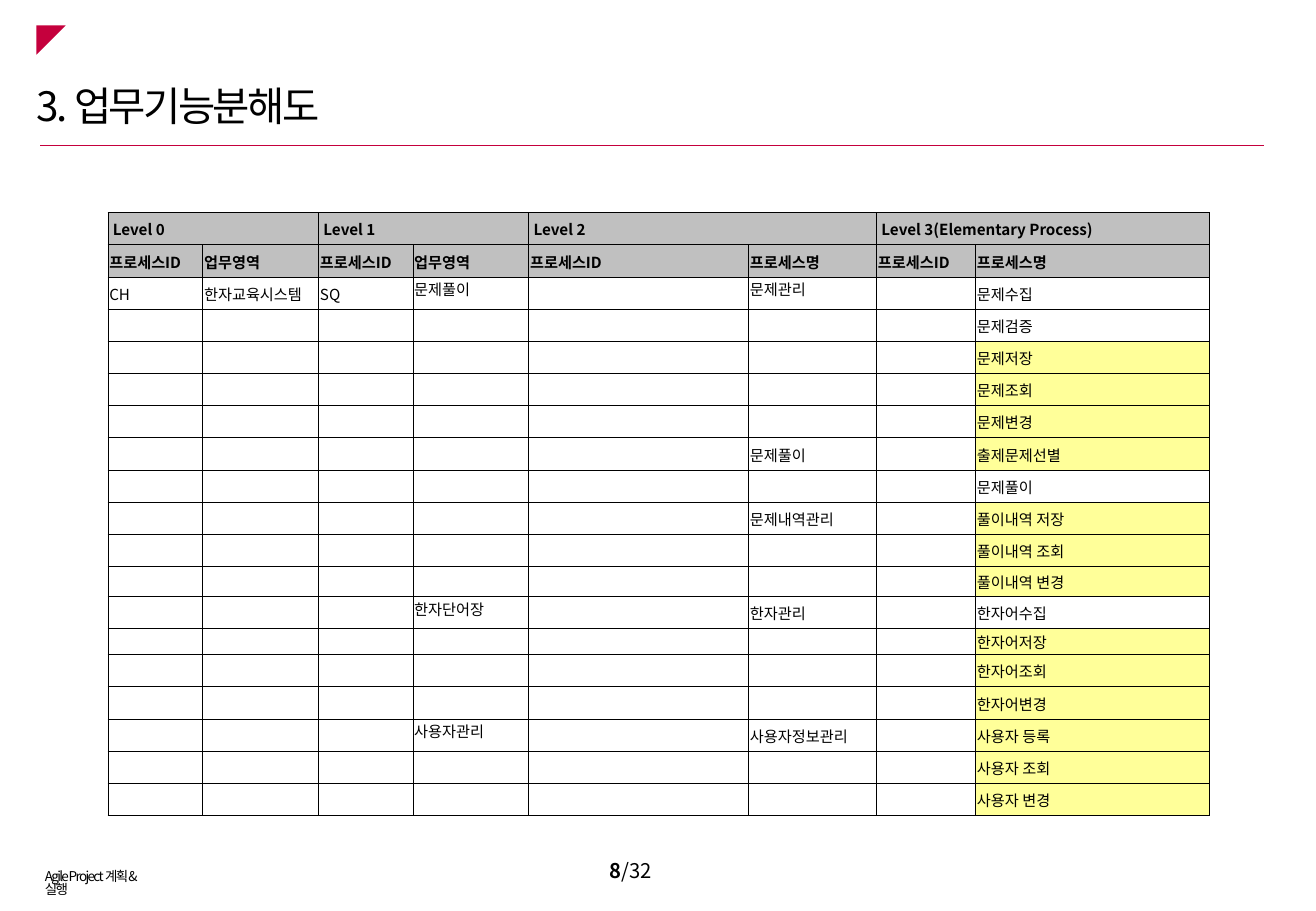
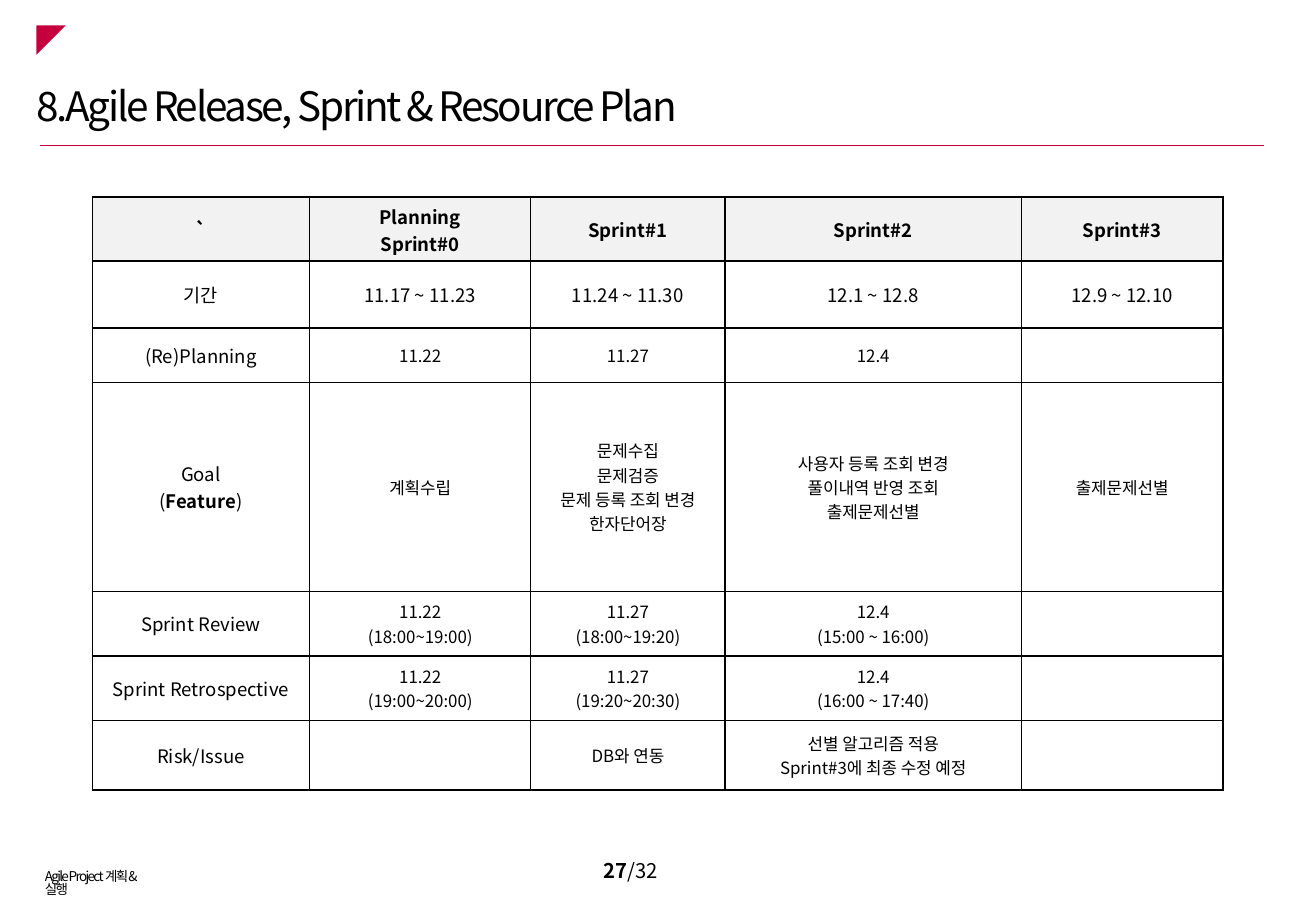
"""Build two agile project slides: a process breakdown table and a sprint plan."""
from lxml.etree import SubElement
from pptx import Presentation
from pptx.dml.color import RGBColor
from pptx.enum.shapes import MSO_CONNECTOR, MSO_SHAPE
from pptx.enum.text import MSO_ANCHOR, MSO_AUTO_SIZE, PP_ALIGN
from pptx.oxml.ns import qn
from pptx.util import Emu, Pt

FONT = "Noto Sans CJK KR"
BLACK, RED, GRAY, PALE, YELLOW = "000000", "C5003D", "C0C0C0", "F2F2F2", "FFFF99"
FOOTER, PAGE_COUNT = "Agile Project 계획&실행", 32

LEVELS = ["Level 0", "Level 1", "Level 2", "Level 3(Elementary Process)"]
FIELDS = ["프로세스ID", "업무영역", "프로세스ID", "업무영역",
          "프로세스ID", "프로세스명", "프로세스ID", "프로세스명"]
SYSTEM = ("CH", "한자교육시스템", "SQ")
PROCESSES = [
    ("문제풀이", "문제관리", "문제수집"),
    ("", "", "문제검증"),
    ("", "", "문제저장"),
    ("", "", "문제조회"),
    ("", "", "문제변경"),
    ("", "문제풀이", "출제문제선별"),
    ("", "", "문제풀이"),
    ("", "문제내역관리", "풀이내역 저장"),
    ("", "", "풀이내역 조회"),
    ("", "", "풀이내역 변경"),
    ("한자단어장", "한자관리", "한자어수집"),
    ("", "", "한자어저장"),
    ("", "", "한자어조회"),
    ("", "", "한자어변경"),
    ("사용자관리", "사용자정보관리", "사용자 등록"),
    ("", "", "사용자 조회"),
    ("", "", "사용자 변경"),
]
PLAIN_PROCESSES = {"문제수집", "문제검증", "문제풀이", "한자어수집"}
PROCESS_COLUMNS = [156, 191, 155, 191, 362, 211, 163, 384]
PROCESS_ROWS = [53] * 11 + [49, 53, 43] + [53] * 5

SPRINTS = [
    ["`", "Planning\nSprint#0", "Sprint#1", "Sprint#2", "Sprint#3"],
    ["기간", "11.17 ~ 11.23", "11.24 ~ 11.30", "12.1 ~ 12.8", "12.9 ~ 12.10"],
    ["(Re)Planning", "11.22", "11.27", "12.4", ""],
    ["Goal\n(|Feature|)", "계획수립", "문제수집\n문제검증\n문제 등록 조회 변경\n한자단어장",
     "사용자 등록 조회 변경\n풀이내역 반영 조회\n출제문제선별", "출제문제선별"],
    ["Sprint Review", "11.22\n(18:00~19:00)", "11.27\n(18:00~19:20)",
     "12.4\n(15:00 ~ 16:00)", ""],
    ["Sprint Retrospective", "11.22\n(19:00~20:00)", "11.27\n(19:20~20:30)",
     "12.4\n(16:00 ~ 17:40)", ""],
    ["Risk/Issue", "", "DB와 연동", "선별 알고리즘 적용\nSprint#3에 최종 수정 예정", ""],
]
SPRINT_COLUMNS = [358, 364, 320, 488, 332]
SPRINT_ROWS = [106, 110, 90, 344, 106, 106, 115]


def px(value):
    return Emu(value * 4572)


def color(value):
    return RGBColor.from_string(value)


def write(frame, text, size, bold=False, align=PP_ALIGN.LEFT, tracking=0, leading=None):
    """Fill a frame, one paragraph per line; parts between bars are bold."""
    for index, line in enumerate(text.split("\n")):
        paragraph = frame.paragraphs[0] if index == 0 else frame.add_paragraph()
        paragraph.alignment = align
        if leading:
            paragraph.line_spacing = leading
        if not line:
            SubElement(paragraph._p, qn("a:endParaRPr")).set("sz", str(size * 100))
            continue
        for part, words in enumerate(line.split("|")):
            if not words:
                continue
            run = paragraph.add_run()
            run.text = words
            run.font.size, run.font.name = Pt(size), FONT
            run.font.bold = bold or part % 2 == 1
            run.font.color.rgb = color(BLACK)
            properties = run.font._element
            SubElement(properties, qn("a:ea")).set("typeface", FONT)
            if tracking:
                properties.set("spc", str(tracking))


def add_text(slide, box, text, size, **style):
    frame = slide.shapes.add_textbox(*map(px, box)).text_frame
    frame.word_wrap = True
    write(frame, text, size, **style)
    return frame


def add_page(presentation, title, title_width, tracking, number):
    """Add a slide with the shared title, corner mark, rule and footer."""
    slide = presentation.slides.add_slide(presentation.slide_layouts[5])
    heading = slide.shapes.title
    heading.left, heading.top, heading.width, heading.height = map(
        px, (40, 132, title_width, 100))
    frame = heading.text_frame
    frame.auto_size, frame.vertical_anchor = MSO_AUTO_SIZE.NONE, MSO_ANCHOR.TOP
    write(frame, title, 24, tracking=tracking, leading=0.9)

    rule = slide.shapes.add_connector(MSO_CONNECTOR.STRAIGHT, *map(px, (66, 240, 2082, 240)))
    rule.line.color.rgb, rule.line.width = color(RED), Pt(0.75)
    SubElement(rule._element.spPr, qn("a:effectLst"))

    corner = slide.shapes.add_shape(MSO_SHAPE.ISOSCELES_TRIANGLE, *map(px, (60, 42, 48, 48)))
    corner.adjustments[0], corner.rotation = 1, 180
    corner.shadow.inherit = False
    corner.fill.solid()
    corner.fill.fore_color.rgb = color(RED)
    corner.line.fill.background()

    add_text(slide, (54, 1424, 224, 48), FOOTER, 8, tracking=-100, leading=0.8)
    page = add_text(slide, (916, 1396, 246, 74), f"|{number}|/{PAGE_COUNT}", 12,
                    align=PP_ALIGN.CENTER)
    page.vertical_anchor = MSO_ANCHOR.MIDDLE
    return slide


def add_grid(slide, left, top, columns, rows):
    """Add an unstyled table with the given column widths and row heights."""
    frame = slide.shapes.add_table(len(rows), len(columns), px(left), px(top),
                                   px(sum(columns)), px(sum(rows)))
    table = frame.table
    table.first_row = table.horz_banding = False
    for column, width in zip(table.columns, columns):
        column.width = px(width)
    for row, height in zip(table.rows, rows):
        row.height = px(height)
    return table


def format_cell(cell, text, size, border, margins, fill=None, anchor=MSO_ANCHOR.MIDDLE, **style):
    cell.margin_left, cell.margin_top, cell.margin_right, cell.margin_bottom = map(px, margins)
    cell.vertical_anchor = anchor
    properties = cell._tc.get_or_add_tcPr()
    for side in ("a:lnL", "a:lnR", "a:lnT", "a:lnB"):
        line = SubElement(properties, qn(side), w=str(Pt(border)))
        SubElement(SubElement(line, qn("a:solidFill")), qn("a:srgbClr")).set("val", BLACK)
    if fill:
        cell.fill.solid()
        cell.fill.fore_color.rgb = color(fill)
    else:
        cell.fill.background()
    write(cell.text_frame, text, size, **style)


def fill_processes(slide):
    table = add_grid(slide, 178, 350, PROCESS_COLUMNS, PROCESS_ROWS)
    levels = [text for level in LEVELS for text in (f" {level}", "")]
    body = [[*(SYSTEM if index == 0 else ("", "", "")), area, "", group, "", name]
            for index, (area, group, name) in enumerate(PROCESSES)]
    for r, texts in enumerate([levels, FIELDS, *body]):
        header = r < 2
        for c, text in enumerate(texts):
            highlighted = c == 7 and text not in PLAIN_PROCESSES
            fill = GRAY if header else YELLOW if highlighted else None
            at_top = not header and (c == 3 or (r, c) == (2, 5))
            format_cell(table.cell(r, c), text, 9, 0.5, (2, 2, 2, 0), fill,
                        MSO_ANCHOR.TOP if at_top else MSO_ANCHOR.MIDDLE, bold=header)
    for c in range(0, len(FIELDS), 2):
        table.cell(0, c).merge(table.cell(0, c + 1))


def fill_sprints(slide):
    table = add_grid(slide, 152, 324, SPRINT_COLUMNS, SPRINT_ROWS)
    for r, texts in enumerate(SPRINTS):
        for c, text in enumerate(texts):
            format_cell(table.cell(r, c), text, 11 if r < 2 or c == 0 else 10, 1,
                        (18, 10, 18, 10), PALE if r == 0 else None,
                        bold=r == 0, align=PP_ALIGN.CENTER)


def main():
    presentation = Presentation()
    presentation.slide_width, presentation.slide_height = px(2167), px(1500)
    fill_processes(add_page(presentation, "3. 업무기능분해도", 1010, -150, 8))
    fill_sprints(add_page(presentation, "8.Agile Release, Sprint & Resource Plan",
                          1452, -140, 27))
    presentation.save("out.pptx")


if __name__ == "__main__":
    main()
